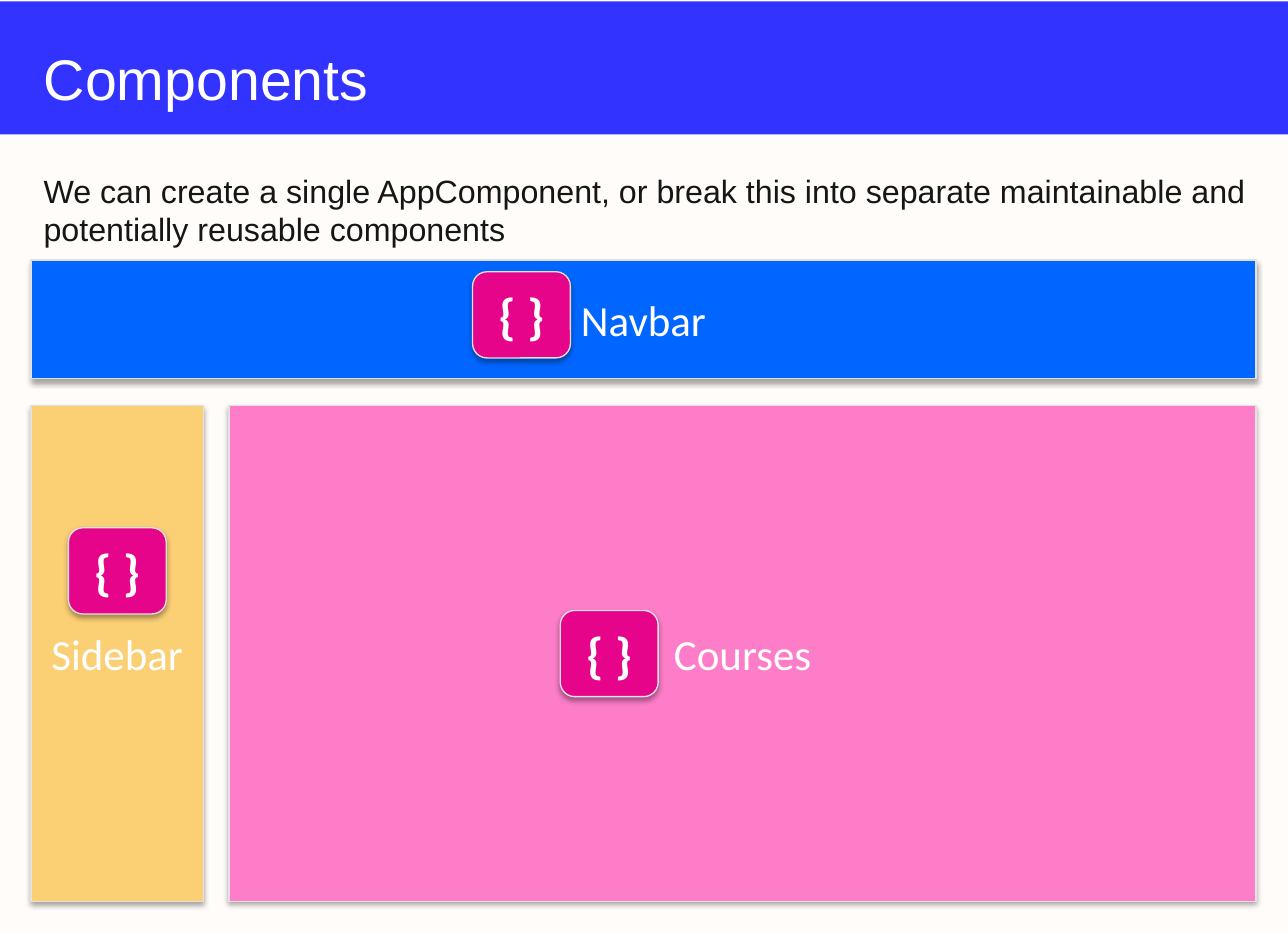
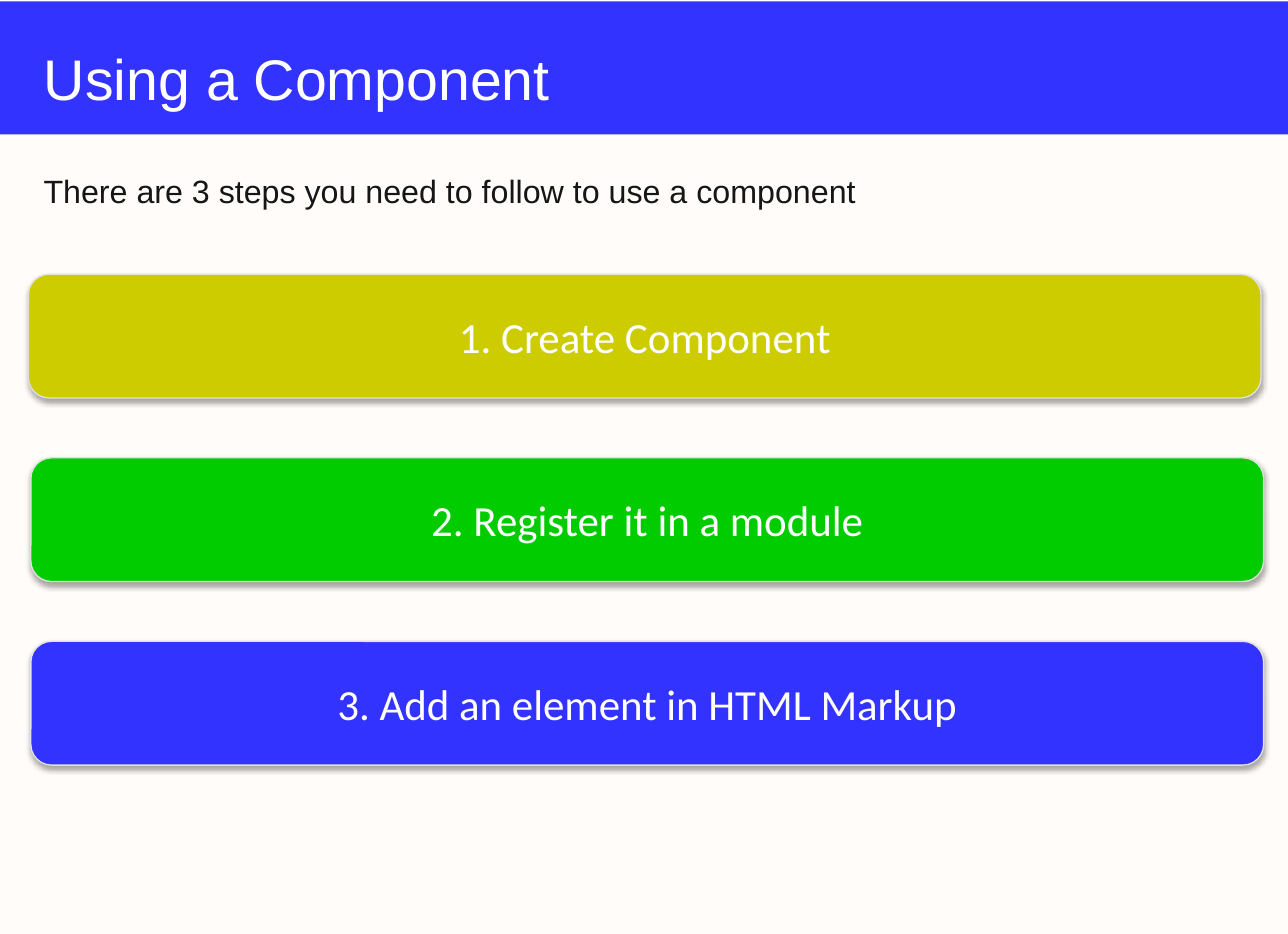
from dataclasses import dataclass

from lxml import etree
from pptx import Presentation
from pptx.dml.color import RGBColor
from pptx.enum.shapes import MSO_SHAPE
from pptx.enum.text import MSO_ANCHOR, MSO_AUTO_SIZE, PP_ALIGN
from pptx.oxml.ns import qn
from pptx.util import Cm, Pt

RECTANGLE = MSO_SHAPE.RECTANGLE
ROUNDED = MSO_SHAPE.ROUNDED_RECTANGLE
MIDDLE = MSO_ANCHOR.MIDDLE
BOTTOM = MSO_ANCHOR.BOTTOM
LEFT = PP_ALIGN.LEFT
CENTER = PP_ALIGN.CENTER
GROW = MSO_AUTO_SIZE.SHAPE_TO_FIT_TEXT
NO_AUTOFIT = MSO_AUTO_SIZE.NONE

COLORS = {
    "background": "FFFCF9",
    "band": "3333FF",
    "text": "151616",
    "white": "FFFFFF",
    "outline": "E1E1E1",
    "shadow": "000000",
    "navbar": "0066FF",
    "sidebar": "FBCF74",
    "courses": "FD7DC9",
    "badge": "E6048B",
    "create": "CCCC00",
    "register": "00CC00",
    "markup": "3333FF",
}
SLIDE_WIDTH, SLIDE_HEIGHT = 25.4, 18.42
MARGIN = 0.61
CONTENT_WIDTH = 24.31
TITLE_LAYOUT = 5
BADGE_WIDTH, BADGE_HEIGHT = 1.93, 1.7
STEP_TOP, STEP_PITCH, STEP_HEIGHT = 5.41, 3.62, 2.44


@dataclass(frozen=True)
class TextStyle:
    font: str
    size: int
    color: str
    bold: bool = False
    align: PP_ALIGN = LEFT


@dataclass(frozen=True)
class Block:
    left: float
    top: float
    width: float
    height: float
    color: str
    label: str
    style: TextStyle
    outline: MSO_SHAPE = RECTANGLE


TITLE = TextStyle("Arial", 32, "white")
INTRO = TextStyle("Arial", 18, "text")
LABEL = TextStyle("Calibri", 24, "white", align=CENTER)
BRACES = TextStyle("Calibri", 28, "white", bold=True, align=CENTER)


def rgb(name: str) -> RGBColor:
    return RGBColor.from_string(COLORS[name])


def write(frame, wording: str, style: TextStyle) -> None:
    frame.word_wrap = True
    paragraph = frame.paragraphs[0]
    paragraph.alignment = style.align
    run = paragraph.add_run()
    run.text = wording
    run.font.name = style.font
    run.font.size = Pt(style.size)
    run.font.bold = style.bold
    run.font.color.rgb = rgb(style.color)


def cast_shadow(shape) -> None:
    shape.shadow.inherit = False
    effects = shape._element.spPr.find(qn("a:effectLst"))
    outer = etree.SubElement(
        effects, qn("a:outerShdw"), blurRad="40000", dist="23000",
        dir="5400000", rotWithShape="0",
    )
    tint = etree.SubElement(outer, qn("a:srgbClr"), val=COLORS["shadow"])
    etree.SubElement(tint, qn("a:alpha"), val="35000")


def draw_block(slide, block: Block) -> None:
    shape = slide.shapes.add_shape(
        block.outline, Cm(block.left), Cm(block.top), Cm(block.width), Cm(block.height)
    )
    shape.fill.solid()
    shape.fill.fore_color.rgb = rgb(block.color)
    shape.line.color.rgb = rgb("outline")
    shape.line.width = Pt(0.75)
    cast_shadow(shape)
    shape.text_frame.vertical_anchor = MIDDLE
    write(shape.text_frame, block.label, block.style)


def put_band_on_master(presentation, slide) -> None:
    band = slide.shapes.add_shape(
        RECTANGLE, 0, Cm(0.03), Cm(SLIDE_WIDTH), Cm(2.62)
    )
    band.fill.solid()
    band.fill.fore_color.rgb = rgb("band")
    band.line.fill.background()
    band.shadow.inherit = False
    presentation.slide_master.shapes._spTree.insert(2, band._element)


def add_titled_slide(
    presentation, heading: str, intro: str, intro_width: float, intro_height: float
):
    slide = presentation.slides.add_slide(presentation.slide_layouts[TITLE_LAYOUT])
    title = slide.shapes.title
    title.left, title.top = Cm(MARGIN), Cm(0.69)
    title.width, title.height = Cm(CONTENT_WIDTH), Cm(1.52)
    title.text_frame.auto_size = NO_AUTOFIT
    title.text_frame.vertical_anchor = BOTTOM
    title.text_frame.margin_bottom = 0
    write(title.text_frame, heading, TITLE)

    lead = slide.shapes.add_textbox(
        Cm(MARGIN), Cm(3.25), Cm(intro_width), Cm(intro_height)
    )
    lead.text_frame.auto_size = GROW
    write(lead.text_frame, intro, INTRO)
    return slide


def build_components(presentation):
    slide = add_titled_slide(
        presentation,
        "Components",
        "We can create a single AppComponent, or break this into separate "
        "maintainable and potentially reusable components",
        CONTENT_WIDTH,
        1.8,
    )
    regions = [
        Block(MARGIN, 5.13, 24.16, 2.34, "navbar", "Navbar", LABEL),
        Block(MARGIN, 8, 3.4, 9.78, "sidebar", "Sidebar", LABEL),
        Block(4.52, 8, 20.25, 9.78, "courses", "Courses", LABEL),
    ]
    badge_corners = [(9.32, 5.36), (11.05, 12.04), (1.35, 10.41)]
    badges = [
        Block(left, top, BADGE_WIDTH, BADGE_HEIGHT, "badge", "{ }", BRACES, ROUNDED)
        for left, top in badge_corners
    ]
    for block in regions + badges:
        draw_block(slide, block)
    return slide


def build_steps(presentation) -> None:
    slide = add_titled_slide(
        presentation,
        "Using a Component",
        "There are 3 steps you need to follow to use a component",
        19.28,
        1.02,
    )
    steps = [
        (0.56, "create", "1. Create Component"),
        (MARGIN, "register", "2. Register it in a module"),
        (MARGIN, "markup", "3. Add an element in HTML Markup"),
    ]
    for index, (left, color, label) in enumerate(steps):
        top = STEP_TOP + index * STEP_PITCH
        draw_block(
            slide,
            Block(left, top, CONTENT_WIDTH, STEP_HEIGHT, color, label, LABEL, ROUNDED),
        )


def main() -> None:
    presentation = Presentation()
    presentation.slide_width = Cm(SLIDE_WIDTH)
    presentation.slide_height = Cm(SLIDE_HEIGHT)
    background = presentation.slide_master.background.fill
    background.solid()
    background.fore_color.rgb = rgb("background")
    components = build_components(presentation)
    put_band_on_master(presentation, components)
    build_steps(presentation)
    presentation.save("out.pptx")


if __name__ == "__main__":
    main()
